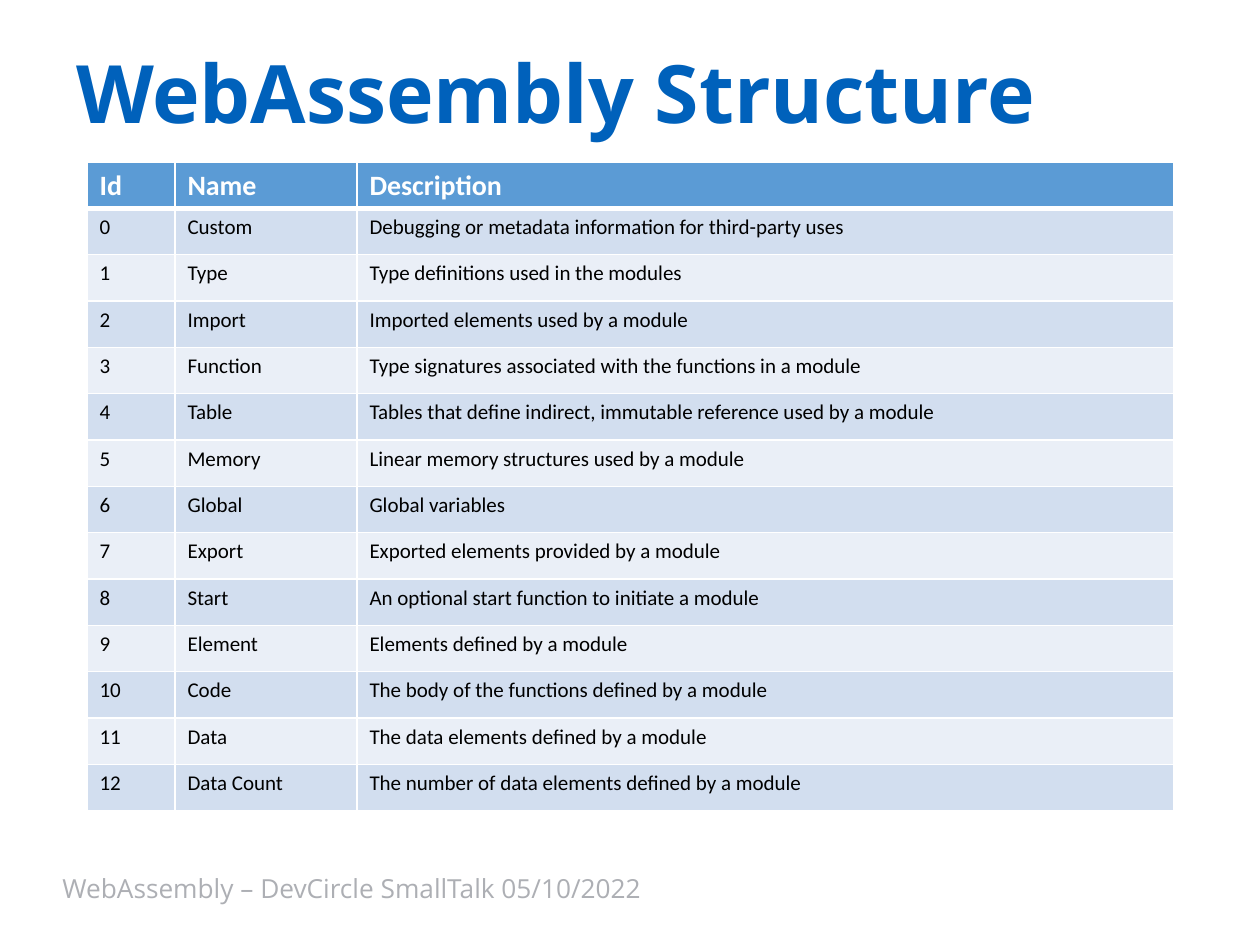
"""Build the WebAssembly structure slide with its title, section table and footer."""
from lxml.etree import SubElement
from pptx import Presentation
from pptx.dml.color import RGBColor
from pptx.enum.text import MSO_ANCHOR
from pptx.oxml.ns import qn
from pptx.util import Emu, Pt

PIXEL = 914400 // 126
THEME = {
    "title": {"name": "Open Sans", "size": Pt(46), "bold": True, "color": "0061BB"},
    "header": {"name": "Calibri", "size": Pt(16), "bold": True, "color": "FFFFFF"},
    "body": {"name": "Calibri", "size": Pt(12), "bold": False, "color": "000000"},
    "footer": {"name": "Open Sans", "size": Pt(15), "bold": False, "color": "ADAFB4"},
    "header_fill": "5B9BD5",
    "band_fills": ("EAEFF7", "D2DEEF"),
    "border": "FFFFFF",
}
SECTIONS = [
    ("Id", "Name", "Description"),
    ("0", "Custom", "Debugging or metadata information for third-party uses"),
    ("1", "Type", "Type definitions used in the modules"),
    ("2", "Import", "Imported elements used by a module"),
    ("3", "Function", "Type signatures associated with the functions in a module"),
    ("4", "Table", "Tables that define indirect, immutable reference used by a module"),
    ("5", "Memory", "Linear memory structures used by a module"),
    ("6", "Global", "Global variables"),
    ("7", "Export", "Exported elements provided by a module"),
    ("8", "Start", "An optional start function to initiate a module"),
    ("9", "Element", "Elements defined by a module"),
    ("10", "Code", "The body of the functions defined by a module"),
    ("11", "Data", "The data elements defined by a module"),
    ("12", "Data Count", "The number of data elements defined by a module"),
]
COLUMN_WIDTHS = (88, 182, 817)
TABLE_HEIGHT = 649


def write_text(text_frame, text, style):
    paragraph = text_frame.paragraphs[0]
    run = paragraph.add_run()
    run.text = text
    for attribute, value in THEME[style].items():
        if attribute == "color":
            run.font.color.rgb = RGBColor.from_string(value)
        else:
            setattr(run.font, attribute, value)
    return paragraph


def add_border(cell, side, points):
    line = SubElement(cell._tc.get_or_add_tcPr(), qn(f"a:{side}"), w=str(Pt(points)))
    fill = SubElement(line, qn("a:solidFill"))
    SubElement(fill, qn("a:srgbClr"), val=THEME["border"])


presentation = Presentation()
presentation.slide_width = Emu(1260 * PIXEL)
presentation.slide_height = Emu(945 * PIXEL)
slide = presentation.slides.add_slide(presentation.slide_layouts[6])

text_boxes = [
    ("WebAssembly Structure", "title", (64, 24, 1130, 121), MSO_ANCHOR.TOP, 1.2),
    ("WebAssembly – DevCircle SmallTalk 05/10/2022", "footer",
     (50, 867, 992, 43), MSO_ANCHOR.MIDDLE, 1.0),
]
for text, style, bounds, anchor, line_spacing in text_boxes:
    shape = slide.shapes.add_textbox(*(Emu(length * PIXEL) for length in bounds))
    frame_format = {"word_wrap": True, "margin_top": 0, "margin_bottom": 0,
                    "vertical_anchor": anchor}
    for attribute, value in frame_format.items():
        setattr(shape.text_frame, attribute, value)
    write_text(shape.text_frame, text, style).line_spacing = line_spacing

table_bounds = (87, 162, sum(COLUMN_WIDTHS), TABLE_HEIGHT)
table = slide.shapes.add_table(
    len(SECTIONS), len(COLUMN_WIDTHS), *(Emu(length * PIXEL) for length in table_bounds)
).table
for column, width in zip(table.columns, COLUMN_WIDTHS):
    column.width = Emu(width * PIXEL)

for row_index, section in enumerate(SECTIONS):
    table.rows[row_index].height = Emu(TABLE_HEIGHT * PIXEL // len(SECTIONS))
    is_header = row_index == 0
    fill_color = THEME["header_fill"] if is_header else THEME["band_fills"][row_index % 2]
    borders = {"lnL": 1, "lnR": 1, "lnT": 3 if row_index == 1 else 1,
               "lnB": 3 if is_header else 1}
    for column_index, text in enumerate(section):
        cell = table.cell(row_index, column_index)
        write_text(cell.text_frame, text, "header" if is_header else "body")
        for side, points in borders.items():
            add_border(cell, side, points)
        cell.fill.solid()
        cell.fill.fore_color.rgb = RGBColor.from_string(fill_color)

presentation.save("out.pptx")
